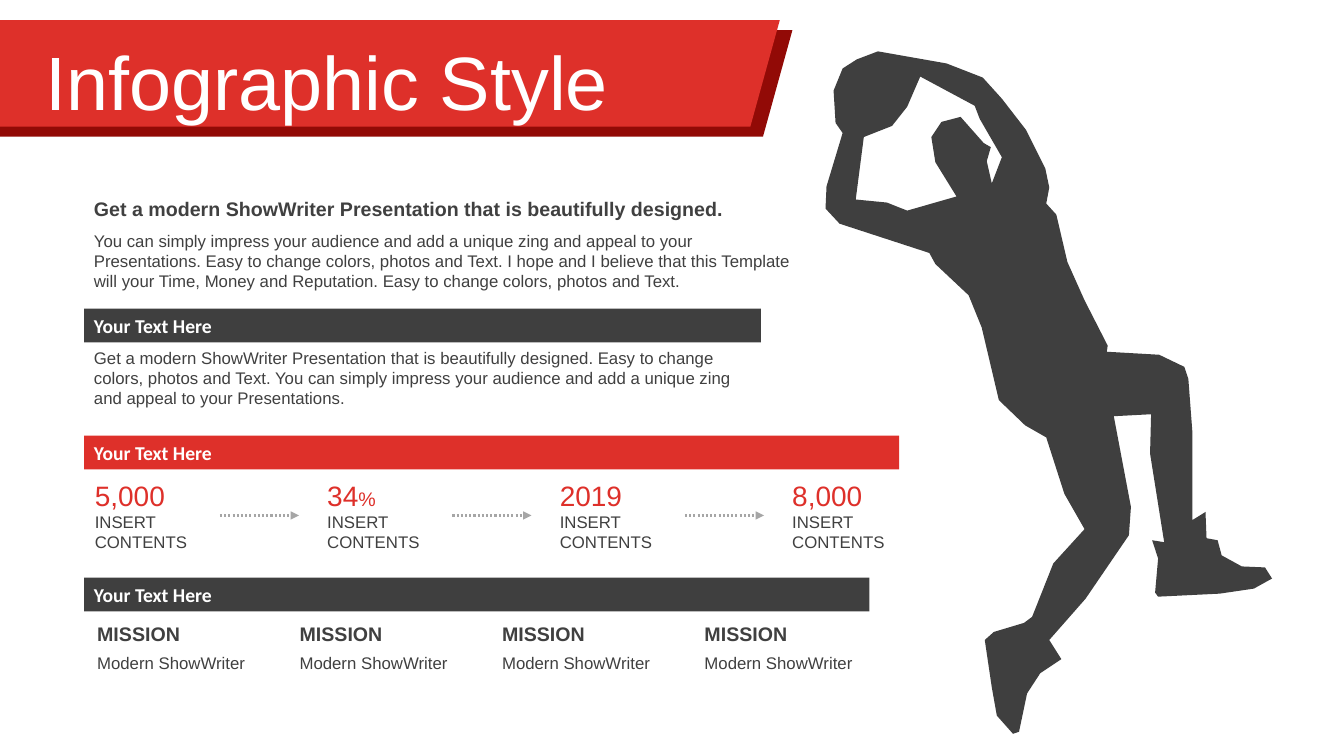
import collections

import pptx
import pptx.dml.color
import pptx.enum.dml
import pptx.enum.shapes
import pptx.enum.text
import pptx.oxml
import pptx.oxml.ns
import pptx.util

Pt = pptx.util.Pt
RGBColor = pptx.dml.color.RGBColor
Anchor = pptx.enum.text.MSO_ANCHOR
Box = collections.namedtuple("Box", "left top width height")

RED = RGBColor(0xDE, 0x30, 0x2A)
DARK_RED = RGBColor(0x92, 0x0A, 0x06)
CHARCOAL = RGBColor(0x3F, 0x3F, 0x3F)
TEXT_GREY = RGBColor(0x40, 0x40, 0x40)
ARROW_GREY = RGBColor(0xA6, 0xA6, 0xA6)
WHITE = RGBColor(0xFF, 0xFF, 0xFF)

TITLE = {"name": "Arial", "size": Pt(54), "color": WHITE}
BAR = {"name": "Calibri", "size": Pt(14), "bold": True, "color": WHITE}
HEADING = {"name": "Arial", "size": Pt(14), "bold": True, "color": TEXT_GREY}
BODY = {"name": "Arial", "size": Pt(12), "color": TEXT_GREY}
NUMBER = {"name": "Arial", "size": Pt(20), "color": RED}
UNIT = {**NUMBER, "size": Pt(14)}

BAR_HEIGHT = 24.2
PARAGRAPH_HEIGHT = 51

INTRO_HEADING = "Get a modern ShowWriter Presentation that is beautifully designed."
INTRO = ("You can simply impress your audience and add a unique zing and appeal to your "
         "Presentations. Easy to change colors, photos and Text. I hope and I believe that "
         "this Template will your Time, Money and Reputation. Easy to change colors, photos "
         "and Text.")
DETAIL = ("Get a modern ShowWriter Presentation that is beautifully designed. Easy to change "
          "colors, photos and Text. You can simply impress your audience and add a unique "
          "zing and appeal to your Presentations.")
BAR_TEXT = "Your Text Here"
STATISTICS = [("5,000", ""), ("34", "%"), ("2019", ""), ("8,000", "")]
MISSIONS = [("MISSION", "Modern ShowWriter")] * 4

# Outlines of the player, in hundredths of an inch
BODY_OUTLINE = [
    (1005, 728), (989, 710), (984, 682), (977, 635), (986, 627), (1016, 618), (1024, 612),
    (1045, 559), (1076, 525), (1056, 490), (1038, 434), (1017, 422), (991, 397), (974, 325),
    (961, 293), (928, 262), (922, 251), (833, 222), (819, 207), (820, 185), (836, 132),
    (829, 122), (827, 90), (836, 68), (850, 59), (871, 51), (939, 63), (975, 77), (994, 98),
    (1018, 129), (1037, 167), (1041, 186), (1038, 202), (1048, 213), (1059, 260),
    (1076, 298), (1099, 343), (1098, 349), (1150, 352), (1175, 364), (1179, 376),
    (1183, 429), (1183, 516), (1196, 508), (1197, 534), (1208, 536), (1212, 551),
    (1232, 562), (1255, 563), (1262, 574), (1244, 584), (1210, 589), (1149, 592),
    (1146, 588), (1149, 554), (1143, 536), (1155, 538), (1141, 450), (1142, 411),
    (1105, 413), (1122, 503), (1120, 531), (1077, 594), (1041, 635), (1053, 654),
    (1032, 668), (1019, 688), (1011, 726)]
ARM_GAP_OUTLINE = [
    (928, 161), (924, 136), (934, 121), (953, 116), (976, 142), (983, 146), (979, 160),
    (984, 182), (994, 156), (972, 118), (967, 105), (913, 76), (900, 106), (885, 125),
    (857, 136), (849, 198), (880, 201), (900, 209), (949, 195)]


def paint(shape, color):
    shape.shadow.inherit = False
    shape.fill.solid()
    shape.fill.fore_color.rgb = color
    shape.line.fill.background()


def add_run(paragraph, text, style):
    run = paragraph.add_run()
    run.text = text
    for name, value in style.items():
        if name == "color":
            run.font.color.rgb = value
        else:
            setattr(run.font, name, value)


def write(shape, lines, **frame_format):
    """Fill a shape with lines, each of them a list of (text, style) runs."""
    frame = shape.text_frame
    for name, value in {"word_wrap": True, **frame_format}.items():
        setattr(frame, name, value)
    for index, line in enumerate(lines):
        paragraph = frame.add_paragraph() if index else frame.paragraphs[0]
        paragraph.alignment = pptx.enum.text.PP_ALIGN.LEFT
        for text, style in line:
            add_run(paragraph, text, style)


def add_text(slide, box, lines, **frame_format):
    shape = slide.shapes.add_textbox(*map(Pt, box))
    write(shape, lines, **frame_format)
    return shape


def add_bar(slide, box, color):
    """Draw a heading bar along the top of the box."""
    bar = slide.shapes.add_shape(pptx.enum.shapes.MSO_SHAPE.RECTANGLE,
                                 *map(Pt, box._replace(height=BAR_HEIGHT)))
    paint(bar, color)
    write(bar, [[(BAR_TEXT, BAR)]], vertical_anchor=Anchor.MIDDLE)


def add_outline(slide, box, contours, scale, color):
    """Draw closed contours with their top left corner at that of the box."""
    points = [point for contour in contours for point in contour]
    left, top = (min(values) for values in zip(*points))
    builder = slide.shapes.build_freeform(*contours[0][0], scale=scale)
    for index, contour in enumerate(contours):
        if index:
            builder.move_to(*contour[0])
        builder.add_line_segments(contour[1:], close=True)
    shape = builder.convert_to_shape(Pt(box.left) - int(left * scale),
                                     Pt(box.top) - int(top * scale))
    paint(shape, color)


def add_banner(slide, box):
    slant = 21
    for right, drop, color in [(8.6, 7.2, DARK_RED), (0, 0, RED)]:
        width = box.width + right
        corners = [(0, 0), (width, 0), (width - slant, box.height), (0, box.height)]
        band = box._replace(top=box.top + drop)
        add_outline(slide, band, [corners], Pt(1), color)
    title = add_text(slide, Box(box.left + 25.2, box.top + 10.8, 499, 57),
                     [[("Infographic Style", TITLE)]], margin_top=Pt(7))
    title.text_frame.paragraphs[0].line_spacing = 0.9


def add_intro(slide, box):
    add_text(slide, box._replace(height=BAR_HEIGHT), [[(INTRO_HEADING, HEADING)]])
    add_text(slide, box._replace(top=box.top + BAR_HEIGHT, height=PARAGRAPH_HEIGHT),
             [[(INTRO, BODY)]])


def add_detail(slide, box):
    add_bar(slide, box, CHARCOAL)
    add_text(slide, box._replace(top=box.top + BAR_HEIGHT, height=PARAGRAPH_HEIGHT),
             [[(DETAIL, BODY)]])


def add_arrow(slide, left, top, length):
    arrow = slide.shapes.add_connector(pptx.enum.shapes.MSO_CONNECTOR.STRAIGHT,
                                       Pt(left), Pt(top), Pt(left + length), Pt(top))
    arrow.line.color.rgb = ARROW_GREY
    arrow.line.width = Pt(1.5)
    arrow.line.dash_style = pptx.enum.dml.MSO_LINE.ROUND_DOT
    properties = arrow._element.spPr
    head = pptx.oxml.parse_xml(
        f'<a:tailEnd {pptx.oxml.ns.nsdecls("a")} type="triangle"/>')
    properties.find(pptx.oxml.ns.qn("a:ln")).append(head)
    properties.append(pptx.oxml.parse_xml(f'<a:effectLst {pptx.oxml.ns.nsdecls("a")}/>'))


def add_statistics(slide, box):
    add_bar(slide, box, RED)
    cell_width = 84
    step = (box.width - cell_width) / (len(STATISTICS) - 1)
    for index, (number, unit) in enumerate(STATISTICS):
        left = box.left + 0.6 + index * step
        runs = [(number, NUMBER)] + ([(unit, UNIT)] if unit else [])
        add_text(slide, Box(left, box.top + 26.8, cell_width, 31.7), [runs],
                 vertical_anchor=Anchor.BOTTOM)
        add_text(slide, Box(left, box.top + 51, cell_width, 36),
                 [[("INSERT", BODY)], [("CONTENTS", BODY)]])
        if index < len(STATISTICS) - 1:
            add_arrow(slide, left + 96.5, box.top + 57, 56.5)


def add_missions(slide, box):
    add_bar(slide, box, CHARCOAL)
    step = 144.6
    margins = dict.fromkeys(["margin_left", "margin_top", "margin_right", "margin_bottom"], 0)
    for index, mission in enumerate(MISSIONS):
        left = box.left + 9.4 + index * step
        rows = zip(mission, [HEADING, BODY], [31.7, 53.3], [17, 14.5])
        for text, style, drop, height in rows:
            add_text(slide, Box(left, box.top + drop, step, height), [[(text, style)]],
                     **margins)


def main():
    presentation = pptx.Presentation()
    presentation.slide_width, presentation.slide_height = Pt(960), Pt(540)
    slide = presentation.slides.add_slide(presentation.slide_layouts[6])
    add_outline(slide, Box(589.7, 36.7, 319, 487), [BODY_OUTLINE, ARM_GAP_OUTLINE],
                Pt(0.72), CHARCOAL)
    add_banner(slide, Box(0, 14.4, 557.3, 76))
    add_intro(slide, Box(60, 137, 521.3, 75.2))
    add_detail(slide, Box(60, 220.4, 483.5, 75.2))
    add_statistics(slide, Box(60, 311.2, 582.2, 87))
    add_missions(slide, Box(60, 412.6, 561, 67.8))
    presentation.save("out.pptx")


if __name__ == "__main__":
    main()
